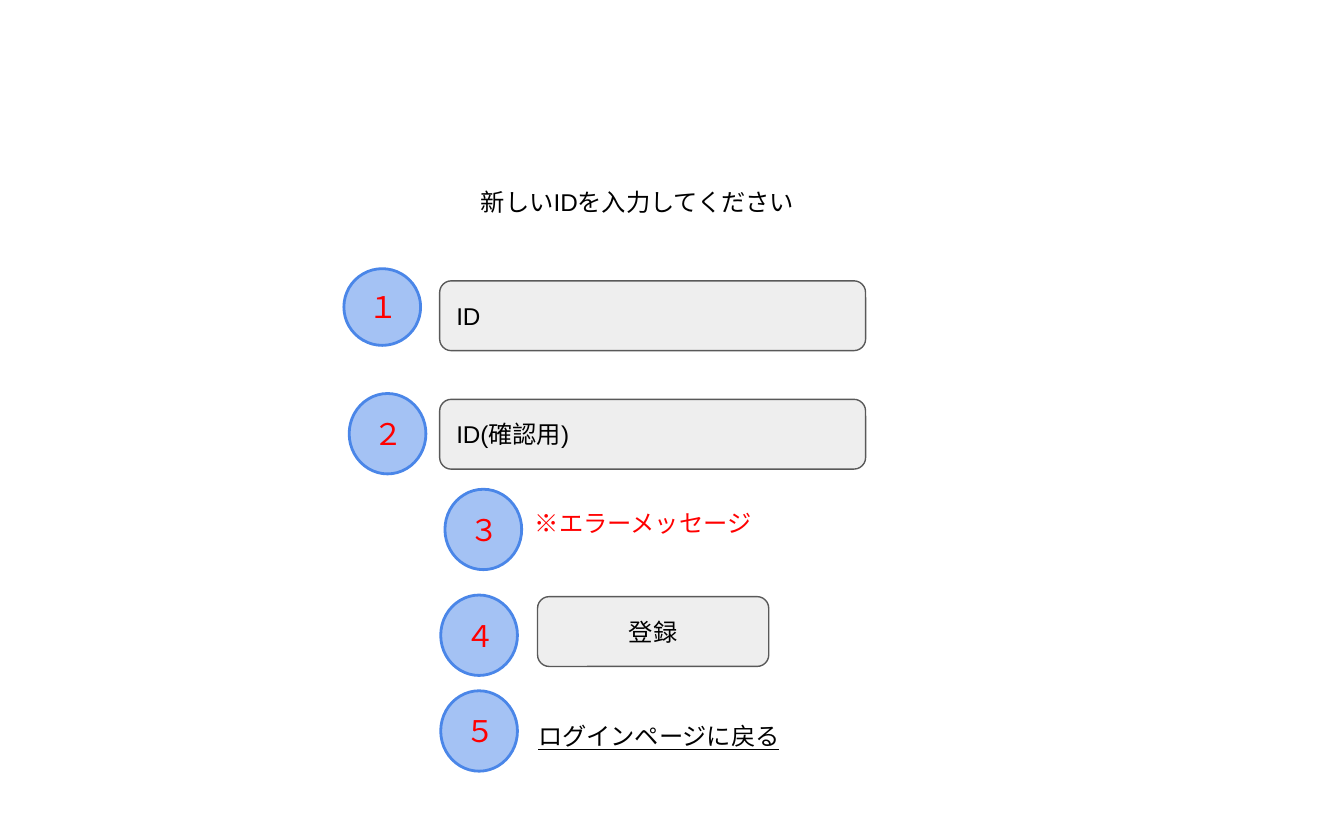
import pptx
import pptx.util
import pptx.dml.color
import pptx.enum.shapes
import pptx.enum.text

Cm = pptx.util.Cm
Pt = pptx.util.Pt
Kind = pptx.enum.shapes.MSO_SHAPE
Side = pptx.enum.text.PP_ALIGN
Hold = pptx.enum.text.MSO_ANCHOR


def tint(code):
    return pptx.dml.color.RGBColor.from_string(code)


def write(shape, text, color="000000", size=13, align=Side.LEFT,
          hold=Hold.MIDDLE, under=None):
    frame = shape.text_frame
    frame.word_wrap = True
    frame.auto_size = pptx.enum.text.MSO_AUTO_SIZE.NONE
    frame.vertical_anchor = hold
    frame.margin_left = frame.margin_right = Cm(0.25)
    frame.margin_top = frame.margin_bottom = Cm(0.25)
    para = frame.paragraphs[0]
    para.alignment = align
    run = para.add_run()
    run.text = text
    run.font.name = "Arial"
    run.font.size = Pt(size)
    run.font.color.rgb = tint(color)
    run.font.underline = under


def panel(slide, kind, box, fill, line, width):
    shape = slide.shapes.add_shape(kind, *map(Cm, box))
    shape.shadow.inherit = False
    shape.fill.solid()
    shape.fill.fore_color.rgb = tint(fill)
    shape.line.color.rgb = tint(line)
    shape.line.width = Pt(width)
    return shape


def field(slide, box, text, align=Side.LEFT):
    shape = panel(slide, Kind.ROUNDED_RECTANGLE, box, "EEEEEE", "595959", 0.75)
    write(shape, text, align=align)


def label(slide, box, text, **style):
    shape = slide.shapes.add_textbox(*map(Cm, box))
    write(shape, text, hold=Hold.TOP, **style)


def head(slide, box):
    title = slide.shapes.title
    title.left, title.top, title.width, title.height = map(Cm, box)
    write(title, "新しいIDを入力してください", hold=Hold.TOP)


def form(slide, box):
    left, top, width = box
    tall = 1.32
    for row, text in enumerate(["ID", "ID(確認用)"]):
        field(slide, (left, top + row * 2.24, width, tall), text)
    field(slide, (left + 1.85, top + 5.97, 4.37, tall), "登録", Side.CENTER)
    label(slide, (left + 1.55, top + 4.04, 5, 1.07), "※エラーメッセージ",
          color="FF0000")
    label(slide, (left + 1.09, top + 8.08, 6.1, tall), "ログインページに戻る",
          align=Side.CENTER, under=True)


def marks(slide, box):
    left, top = box[:2]
    spots = [("１", -1.81, -0.23, 1.45), ("２", -1.71, 2.13, 1.52),
             ("３", 0.1, 3.94, 1.52), ("４", 0.02, 5.94, 1.52),
             ("５", 0.02, 7.75, 1.52)]
    for text, right, down, tall in spots:
        place = (left + right, top + down, 1.45, tall)
        shape = panel(slide, Kind.OVAL, place, "A4C2F4", "4A86E8", 1.5)
        write(shape, text, "FF0000", 16, Side.CENTER)


def main():
    deck = pptx.Presentation()
    deck.slide_width = Cm(25.4)
    deck.slide_height = Cm(15.88)
    slide = deck.slides.add_slide(deck.slide_layouts.get_by_name("Title Only"))
    box = (8.31, 5.31, 8.05)
    head(slide, (8.84, 3.28, 6.99, 1.45))
    form(slide, box)
    marks(slide, box)
    deck.save("out.pptx")


if __name__ == "__main__":
    main()
